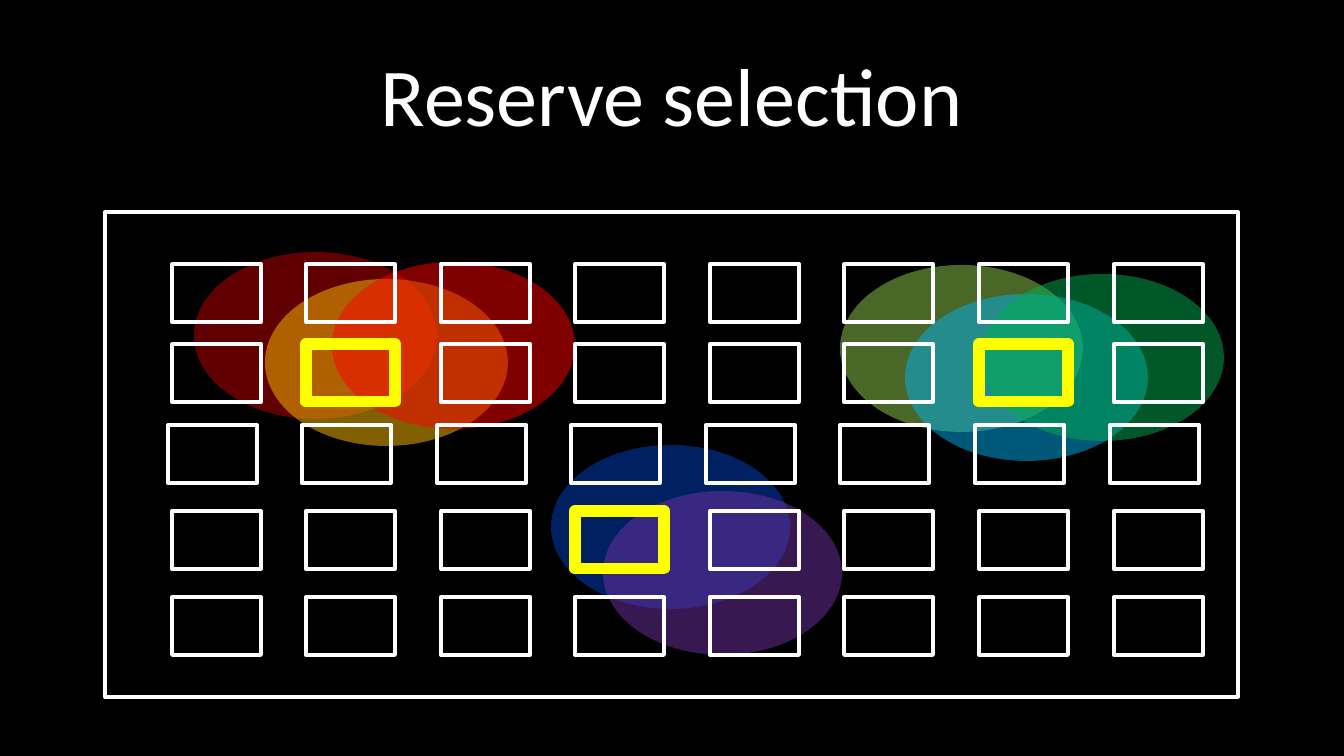
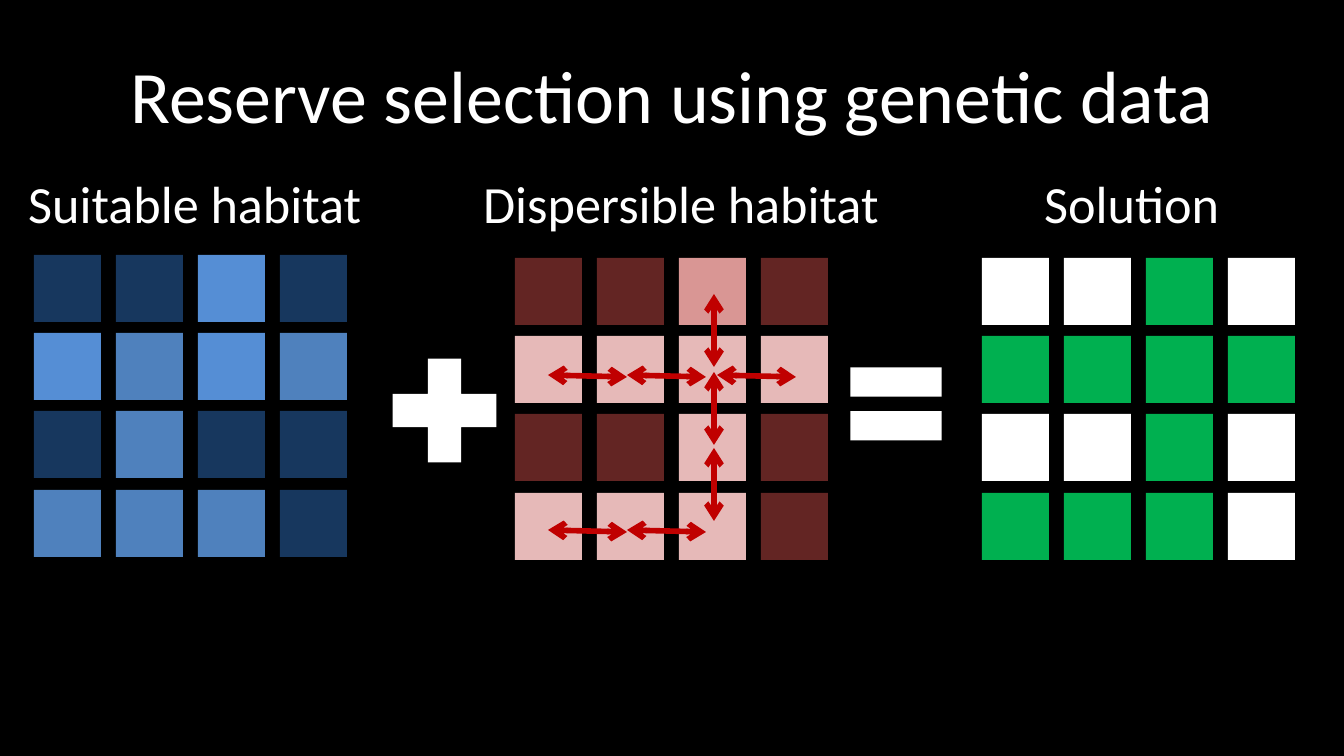
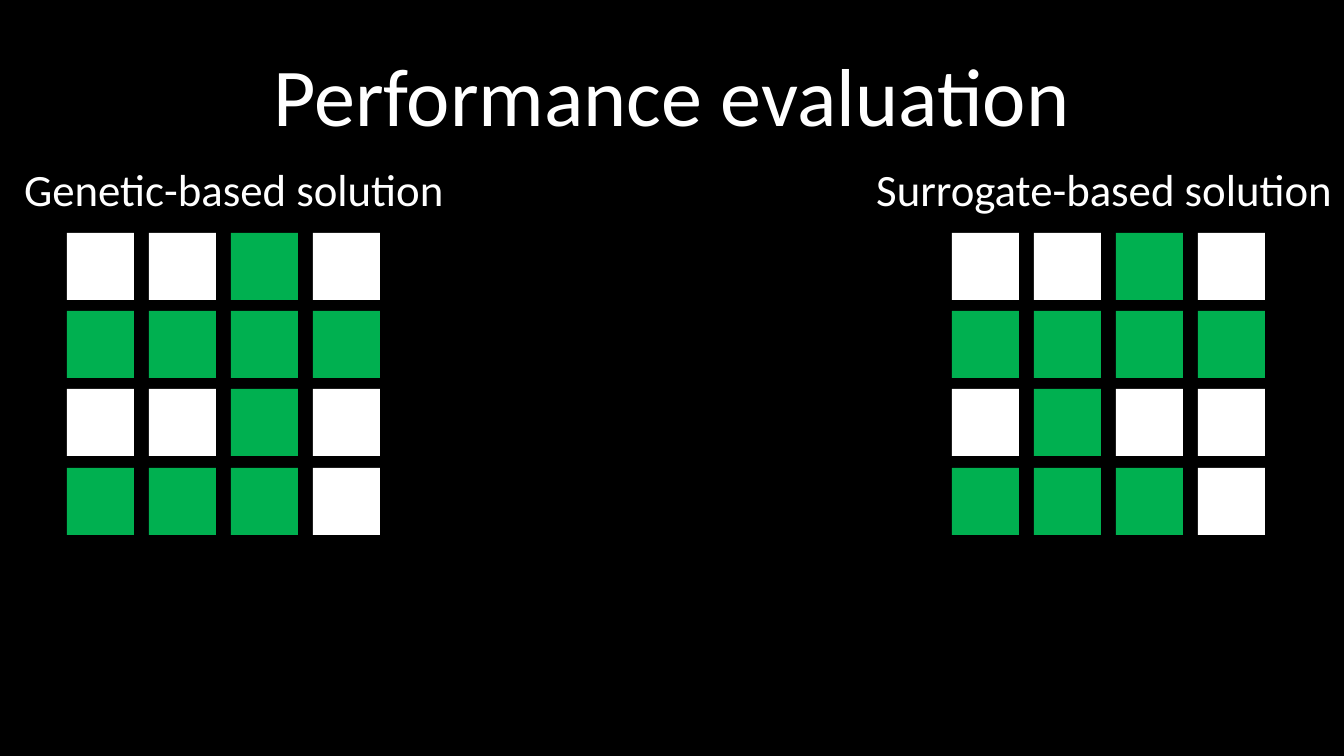
"""Build three slides on choosing reserves from habitat grids."""
from lxml import etree
from pptx import Presentation
from pptx import util as u
from pptx.dml import color
from pptx.enum import shapes, text
from pptx.oxml import ns

WIDTH, HEIGHT = 1344, 756
SCALE = u.Inches(10) / WIDTH
BLACK, WHITE, YELLOW = "000000", "FFFFFF", "FFFF00"
GREEN, RED = "00B050", "C00000"
KINDS = shapes.MSO_SHAPE


def px(length):
    return u.Emu(round(length * SCALE))


def rgb(value):
    return color.RGBColor.from_string(value)


class Slides:
    font = "Calibri"
    ink = WHITE

    def __init__(self):
        self.deck = Presentation()
        self.deck.slide_width, self.deck.slide_height = px(WIDTH), px(HEIGHT)
        backdrop = self.deck.slide_master.background.fill
        backdrop.solid()
        backdrop.fore_color.rgb = rgb(BLACK)
        self.page = None

    def put_words(self, frame, words, size):
        frame.text = words
        para = frame.paragraphs[0]
        para.font.name, para.font.size = self.font, u.Pt(size)
        para.font.color.rgb = rgb(self.ink)
        return para

    def start(self, title, size=44):
        self.page = self.deck.slides.add_slide(self.deck.slide_layouts[5])
        box = self.page.shapes.title
        box.left, box.top, box.width, box.height = map(px, (67, 31, 1210, 126))
        frame = box.text_frame
        frame.auto_size = text.MSO_AUTO_SIZE.NONE
        frame.vertical_anchor = text.MSO_ANCHOR.MIDDLE
        self.put_words(frame, title, size).alignment = text.PP_ALIGN.CENTER

    def label(self, words, left, top, width, height, size):
        box = self.page.shapes.add_textbox(*map(px, (left, top, width, height)))
        frame = box.text_frame
        frame.word_wrap = False
        frame.auto_size = text.MSO_AUTO_SIZE.SHAPE_TO_FIT_TEXT
        self.put_words(frame, words, size)

    def shape(self, kind, place, fill=None, line=None, weight=2, opacity=100, parent=None):
        shape = (parent or self.page).shapes.add_shape(kind, *map(px, place))
        shape.shadow.inherit = False
        if fill:
            shape.fill.solid()
            shape.fill.fore_color.rgb = rgb(fill)
        else:
            shape.fill.background()
        if line:
            shape.line.color.rgb = rgb(line)
            shape.line.width = u.Pt(weight)
        else:
            shape.line.fill.background()
        if opacity < 100:
            tint = shape.element.spPr.find(".//" + ns.qn("a:srgbClr"))
            etree.SubElement(tint, ns.qn("a:alpha"), val=str(opacity * 1000))

    def grid(self, left, top, rows, colours, grouped=False):
        parent = self.page.shapes.add_group_shape() if grouped else None
        for row, marks in enumerate(rows):
            for column, mark in enumerate(marks):
                place = (left + 82 * column, top + 235 * row // 3, 67, 67)
                self.shape(KINDS.RECTANGLE, place, colours[mark], parent=parent)

    def arrow(self, *ends):
        arrow = self.page.shapes.add_connector(shapes.MSO_CONNECTOR.STRAIGHT, *map(px, ends))
        arrow.line.color.rgb = rgb(RED)
        arrow.line.width = u.Pt(3)
        outline = arrow.element.spPr.find(ns.qn("a:ln"))
        for tip in ("a:headEnd", "a:tailEnd"):
            etree.SubElement(outline, ns.qn(tip), type="arrow")
        etree.SubElement(arrow.element.spPr, ns.qn("a:effectLst"))


SOLUTION_COLOURS = {".": WHITE, "x": GREEN}
GENETIC_SOLUTION = ("..x.", "xxxx", "..x.", "xxx.")
SURROGATE_SOLUTION = ("..x.", "xxxx", ".x..", "xxx.")


def reserve_selection(slides):
    slides.start("Reserve selection")
    slides.shape(KINDS.RECTANGLE, (105, 212, 1133, 485), line=WHITE)
    ranges = (
        (551, 445, 239, 164, "0041C4"),
        (603, 491, 239, 164, "7030A0"),
        (194, 252, 243, 167, RED),
        (265, 279, 243, 167, "FFC000"),
        (332, 262, 243, 167, "FF0000"),
        (840, 265, 243, 167, "92D050"),
        (905, 294, 243, 167, "00B0F0"),
        (981, 274, 243, 167, GREEN),
    )
    for *place, fill in ranges:
        slides.shape(KINDS.OVAL, place, fill, opacity=50)
    sites = ((172, 264), (172, 344), (168, 425), (172, 511), (172, 597))
    reserves = {(1, 1), (1, 6), (3, 3)}
    for row, (left, top) in enumerate(sites):
        for column in range(8):
            chosen = (row, column) in reserves
            place = (left + 942 * column // 7, top, 89, 58)
            slides.shape(KINDS.RECTANGLE, place, line=YELLOW if chosen else WHITE,
                         weight=6 if chosen else 2)


def genetic_data(slides):
    slides.start("Reserve selection using genetic data", 39.6)
    slides.grid(34, 255, ("..b.", "bmbm", ".m..", "mmm."),
                {".": "17375E", "b": "558ED5", "m": "4F81BD"})
    slides.grid(515, 258, ("..s.", "pppp", "..p.", "ppp."),
                {".": "632523", "s": "D99694", "p": "E6B9B8"}, grouped=True)
    slides.grid(982, 258, GENETIC_SOLUTION, SOLUTION_COLOURS)
    slides.shape(KINDS.MATH_PLUS, (374, 340, 141, 141), WHITE)
    slides.shape(KINDS.MATH_EQUAL, (834, 342, 124, 124), WHITE)
    for left, top in ((548, 530), (627, 530), (548, 375), (627, 375), (717, 375)):
        slides.arrow(left, top, left + 79, top + 2)
    for bottom in (521, 445, 367):
        slides.arrow(714, bottom, 714, bottom - 73)
    for words, left, width in (("Suitable habitat", 15, 364),
                               ("Dispersible habitat", 470, 427),
                               ("Solution", 1031, 204)):
        slides.label(words, left, 165, width, 77, 28)


def performance(slides):
    slides.start("Performance evaluation")
    slides.grid(67, 233, GENETIC_SOLUTION, SOLUTION_COLOURS, grouped=True)
    slides.grid(952, 233, SURROGATE_SOLUTION, SOLUTION_COLOURS, grouped=True)
    slides.label("Genetic-based solution", 11, 155, 452, 67, 24)
    slides.label("Surrogate-based solution", 863, 155, 488, 67, 24)


def main():
    slides = Slides()
    reserve_selection(slides)
    genetic_data(slides)
    performance(slides)
    slides.deck.save("out.pptx")


if __name__ == "__main__":
    main()
